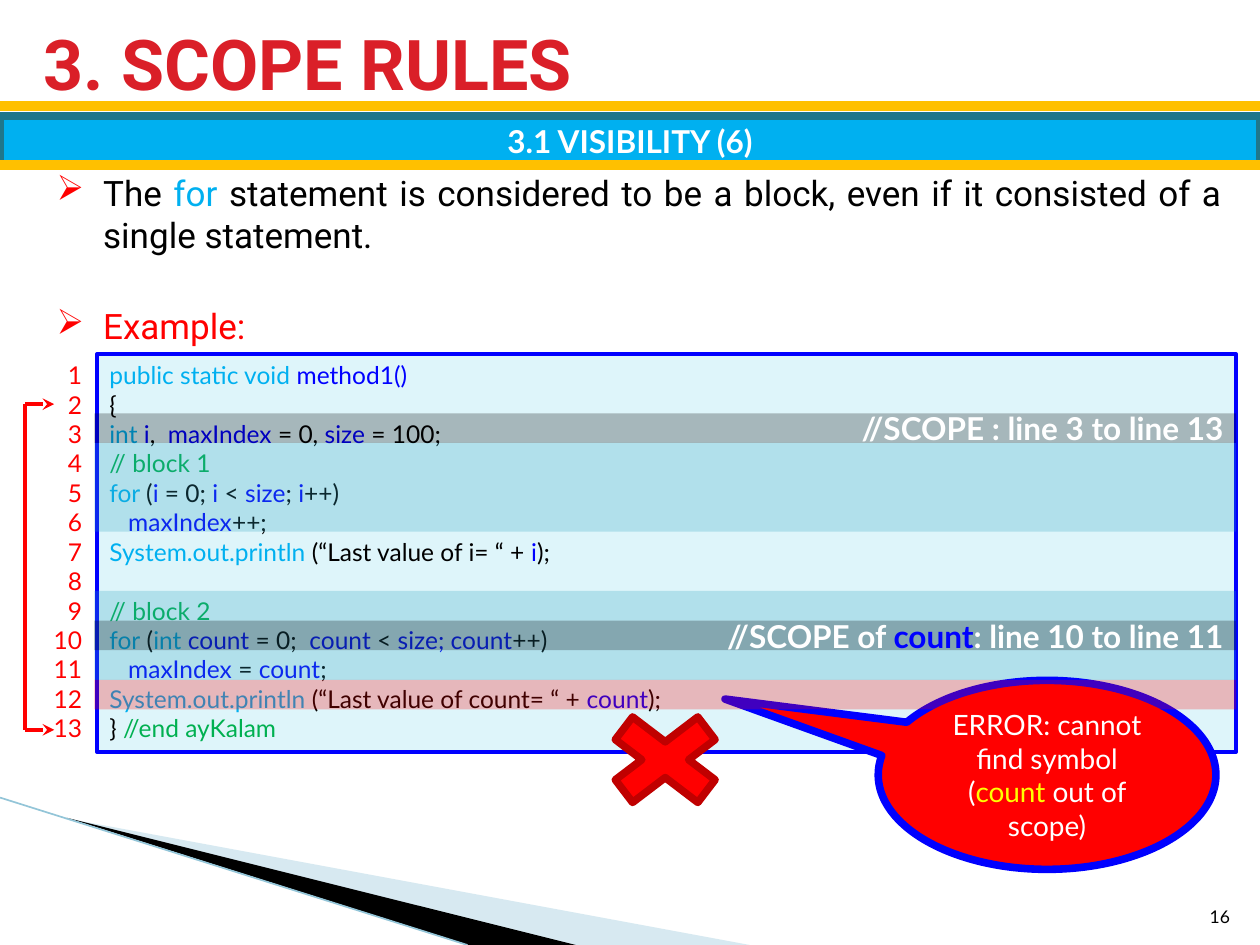
from dataclasses import dataclass
from functools import partial
from typing import NamedTuple, Optional, Sequence

from lxml import etree
from pptx import Presentation
from pptx.dml.color import RGBColor
from pptx.enum.shapes import MSO_CONNECTOR, MSO_SHAPE
from pptx.enum.text import MSO_ANCHOR, PP_ALIGN
from pptx.oxml.ns import qn
from pptx.util import Inches, Pt

RECT = MSO_SHAPE.RECTANGLE
CALLOUT = MSO_SHAPE.OVAL_CALLOUT
CROSS = MSO_SHAPE.MATH_MULTIPLY
STRAIGHT = MSO_CONNECTOR.STRAIGHT
TOP, MID, LOW = MSO_ANCHOR.TOP, MSO_ANCHOR.MIDDLE, MSO_ANCHOR.BOTTOM
LEFT, CENTER, RIGHT, FULL = PP_ALIGN.LEFT, PP_ALIGN.CENTER, PP_ALIGN.RIGHT, PP_ALIGN.JUSTIFY


@dataclass(frozen=True)
class Theme:
    head: str = "Roboto"
    body: str = "Lato"
    black: str = "000000"
    white: str = "FFFFFF"
    title: str = "DA1F28"
    red: str = "FF0000"
    dark: str = "C00000"
    blue: str = "0000FF"
    sky: str = "00B0F0"
    green: str = "00B050"
    yellow: str = "FFFF00"
    gold: str = "FFC000"
    edge: str = "20768B"
    pale: str = "DEF5FA"
    teal: str = "2DA2BF"
    wave: str = "9CCADC"
    rim: str = "93C5D8"
    huge: int = 40
    big: int = 20
    label: int = 18
    note: int = 16
    code: int = 14
    small: int = 10
    thick: float = 6
    bold: float = 4.33
    thin: float = 2.25


T = Theme()

deck = Presentation()
deck.slide_width, deck.slide_height = Inches(10), Inches(7.5)
COL, ROW = deck.slide_width / 100, deck.slide_height / 75
slide = deck.slides.add_slide(deck.slide_layouts[6])
shapes = slide.shapes


class Run(NamedTuple):
    text: str
    color: str


class Box(NamedTuple):
    """Left, top, width and height in grid columns and rows."""
    x: float
    y: float
    w: float
    h: float

    def emu(self) -> list[int]:
        return [round(v * u) for v, u in zip(self, (COL, ROW, COL, ROW))]


class Style(NamedTuple):
    size: int
    font: str = T.body
    bold: bool = False
    align: PP_ALIGN = LEFT
    anchor: MSO_ANCHOR = MID
    bullet: bool = False


Lines = Sequence[Sequence[Run]]
black, blue, sky, green, white, red = (
    partial(Run, color=c) for c in (T.black, T.blue, T.sky, T.green, T.white, T.red))


def rgb(color: str) -> RGBColor:
    return RGBColor.from_string(color)


def child(parent, tag: str, **attrs: str):
    return etree.SubElement(parent, qn(tag), attrs)


def paint(shape, color: str, alpha: int = 100) -> None:
    shape.fill.solid()
    shape.fill.fore_color.rgb = rgb(color)
    if alpha < 100:
        tint = shape.element.find(".//" + qn("a:srgbClr"))
        child(tint, "a:alpha", val=str(alpha * 1000))


def write(shape, lines: Lines, style: Style) -> None:
    frame = shape.text_frame
    frame.word_wrap = True
    frame.vertical_anchor = style.anchor
    for n, runs in enumerate(lines):
        para = frame.add_paragraph() if n else frame.paragraphs[0]
        para.alignment = style.align
        if style.bullet:
            props = para._p.get_or_add_pPr()
            props.set("marL", str(Inches(0.37)))
            props.set("indent", str(-Inches(0.37)))
            child(child(props, "a:buClr"), "a:srgbClr", val=T.red)
            child(props, "a:buChar", char="➢")
        para.font.size = Pt(style.size)
        for part in runs:
            run = para.add_run()
            run.text = part.text
            font = run.font
            font.size, font.name, font.bold = Pt(style.size), style.font, style.bold
            font.color.rgb = rgb(part.color)


def text(box: Box, lines: Lines, style: Style) -> None:
    write(shapes.add_textbox(*box.emu()), lines, style)


def block(box: Box, fill: str, alpha: int = 100, line: Optional[str] = None,
          width: float = 0, kind: MSO_SHAPE = RECT, adj: Sequence[float] = ()):
    shape = shapes.add_shape(kind, *box.emu())
    shape.shadow.inherit = False
    for n, value in enumerate(adj):
        shape.adjustments[n] = value
    paint(shape, fill, alpha)
    if line:
        shape.line.color.rgb = rgb(line)
        shape.line.width = Pt(width)
    else:
        shape.line.fill.background()
    return shape


def rule(x1: float, y1: float, x2: float, y2: float, color: str,
         width: float, arrow: bool = False) -> None:
    ends = [round(v * u) for v, u in zip((x1, y1, x2, y2), (COL, ROW, COL, ROW))]
    link = shapes.add_connector(STRAIGHT, *ends)
    link.line.color.rgb = rgb(color)
    link.line.width = Pt(width)
    props = link.element.find(qn("p:spPr"))
    if arrow:
        child(props.find(qn("a:ln")), "a:tailEnd", type="stealth")
    child(props, "a:effectLst")


def wedge(points: Sequence[tuple[float, float]], color: str, alpha: int = 100) -> None:
    first, *rest = [(round(x * COL), round(y * ROW)) for x, y in points]
    path = shapes.build_freeform(*first)
    path.add_line_segments(rest)
    shape = path.convert_to_shape()
    shape.shadow.inherit = False
    paint(shape, color, alpha)
    shape.line.fill.background()


# Code panel: each code line takes one step down from the panel's top.
PANEL = Box(7.7, 28.1, 90.4, 31.6)
STEP = 2.35


def band(first: int, count: int, color: str):
    """Tint `count` code lines from line `first` on."""
    return block(Box(7.5, PANEL.y + (first - 1) * STEP, 90.6, count * STEP), color, 25)


CODE = [
    [sky("public static void "), blue("method1()")],
    [black("{")],
    [sky("int "), blue("i"), black(",  "), blue("maxIndex "), black("= 0, "),
     blue("size "), black("= 100;")],
    [green("// block 1")],
    [sky("for "), black("("), blue("i"), black(" = 0; "), blue("i"), black(" < "),
     blue("size"), black("; "), blue("i"), black("++)")],
    [blue("   maxIndex"), black("++;")],
    [sky("System.out.println"), black(" (“Last value of i= “ + "), blue("i"), black(");")],
    [],
    [green("// block 2")],
    [sky("for"), black(" ("), sky("int "), blue("count "), black("= 0;"),
     blue("  count "), black("<"), blue(" size; count"), black("++)")],
    [blue("   maxIndex "), black("="), blue(" count"), black(";")],
    [sky("System.out.println"), black(" (“Last value of count= “ + "), blue("count"),
     black(");")],
    [black("} "), green("//end ayKalam")],
]

# Corner decoration
wedge([(5.5, 65), (59.5, 75), (45.6, 75)], T.wave, 40)
wedge([(5.3, 64.9), (45.7, 75), (37.2, 75)], T.black)
rule(0, 63.3, 37.1, 75, T.rim, 0.95)

# Heading and bullets
rule(0, 8.4, 100, 8.4, T.gold, T.thick)
text(Box(2.5, 1.7, 94.7, 6.5), [[Run("3. SCOPE RULES", T.title)]],
     Style(T.huge, T.head, True))
text(Box(94.6, 70.1, 4, 4), [[black("16")]], Style(T.small, align=RIGHT, anchor=LOW))
point = Style(T.big, T.head, align=FULL, anchor=TOP, bullet=True)
text(Box(3.5, 13.1, 94.5, 7.7), [[
    black("The "), sky("for"),
    black(" statement is considered to be a block, even if it consisted of a single statement."),
]], point)
text(Box(3.5, 23.7, 94.5, 4.4), [[red("Example:")]], point)

# Code with line numbers
write(block(PANEL, T.pale, line=T.blue, width=T.thin), CODE, Style(T.code, anchor=TOP))
text(Box(2, PANEL.y, 5.5, PANEL.h), [[red(str(n + 1))] for n in range(len(CODE))],
     Style(T.code, align=RIGHT, anchor=TOP))

# Section bar
write(block(Box(0, 9.2, 100, 3.9), T.sky, line=T.edge, width=T.bold),
      [[white("3.1 VISIBILITY (6)")]], Style(T.label, bold=True, align=CENTER))
rule(0, 13.1, 100, 13.1, T.gold, T.thick)

# Scopes
scope = Style(T.label, bold=True, align=RIGHT)
for start in (4, 9):
    band(start, 3, T.teal)
write(band(3, 1, T.black), [[white("//SCOPE : line 3 to line 13")]], scope)
write(band(10, 1, T.black),
      [[white("//SCOPE of "), blue("count"), white(": line 10 to line 11")]], scope)

# Error
write(block(Box(69.7, 54, 26.8, 15), T.red, line=T.blue, width=T.bold,
            kind=CALLOUT, adj=(-0.954, -0.401)),
      [[white("ERROR: cannot find symbol")],
       [white("("), Run("count", T.yellow), white(" out of scope)")]],
      Style(T.note, align=CENTER))
block(Box(46.5, 55.5, 12.6, 9.6), T.red, line=T.dark, width=T.bold, kind=CROSS, adj=(0.235,))
band(12, 1, T.red)

# Bracket from line 2 to line 13
start, stop = (PANEL.y + (n - 0.5) * STEP + 0.45 for n in (2, 13))
for y in (start, stop):
    rule(2, y, 4.3, y, T.red, T.thin, arrow=True)
rule(2, start, 2, stop, T.red, T.thin)

deck.save("out.pptx")
